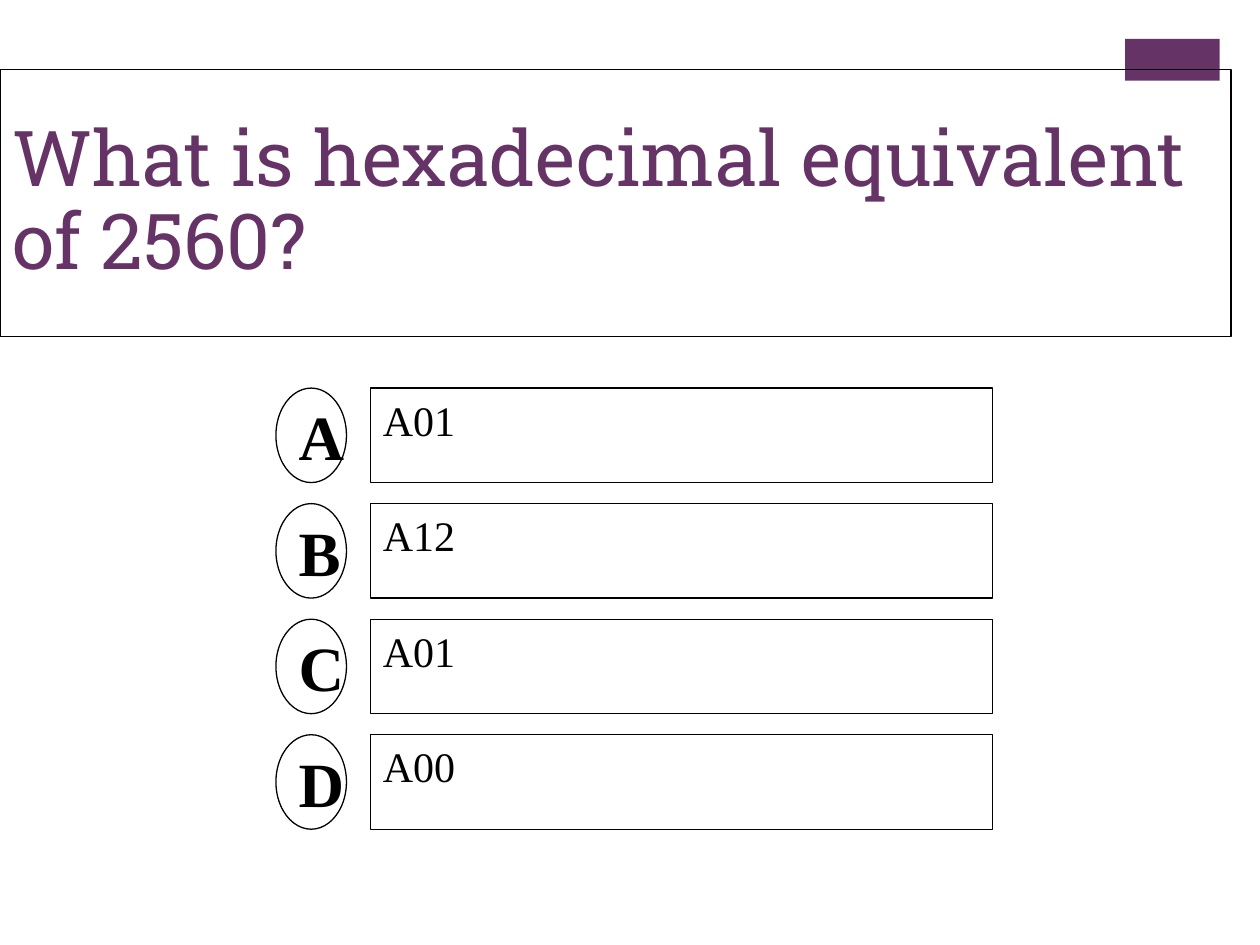
from dataclasses import dataclass

from pptx import Presentation
from pptx.dml.color import RGBColor
from pptx.enum.shapes import MSO_SHAPE
from pptx.enum.text import MSO_ANCHOR, MSO_AUTO_SIZE, PP_ALIGN
from pptx.util import Inches, Pt

RECT, OVAL = MSO_SHAPE.RECTANGLE, MSO_SHAPE.OVAL
TOP, MIDDLE = MSO_ANCHOR.TOP, MSO_ANCHOR.MIDDLE
LEFT, NO_FIT = PP_ALIGN.LEFT, MSO_AUTO_SIZE.NONE
PURPLE, BLACK, WHITE = "663366", "000000", "FFFFFF"
SERIF, SLAB = "Times New Roman", "Roboto Slab"
TITLE_ONLY = 5

LETTER_X, LETTER_W = 2.19, 0.56
ANSWER_X, ANSWER_W = 2.94, 4.94
FIRST_ROW, ROW_PITCH, ROW_H = 3.08, 0.917, 0.75


@dataclass
class Option:
    letter: str
    answer: str


OPTIONS = [Option("A", "A01"), Option("B", "A12"),
           Option("C", "A01"), Option("D", "A00")]


def color(value: str) -> RGBColor:
    return RGBColor.from_string(value)


def outline(shape) -> None:
    shape.line.color.rgb = color(BLACK)
    shape.line.width = Pt(0.75)


def write(shape, text: str, font: str, size: int, ink: str, bold: bool,
          anchor, wrap: bool) -> None:
    tf = shape.text_frame
    tf.text = text
    tf.auto_size = NO_FIT
    tf.word_wrap = wrap
    tf.vertical_anchor = anchor
    p = tf.paragraphs[0]
    p.alignment = LEFT
    r = p.runs[0]
    r.font.name, r.font.size, r.font.bold = font, Pt(size), bold
    r.font.color.rgb = color(ink)


def add_box(slide, kind, x: float, y: float, w: float, h: float,
            fill: str | None = None):
    shape = slide.shapes.add_shape(kind, Inches(x), Inches(y),
                                   Inches(w), Inches(h))
    shape.shadow.inherit = False
    if fill:
        shape.fill.solid()
        shape.fill.fore_color.rgb = color(fill)
    else:
        shape.fill.background()
    return shape


def add_corner_bar(slide) -> None:
    bar = add_box(slide, RECT, 8.93, 0.31, 0.75, 0.33, PURPLE)
    bar.line.fill.background()
    slide.shapes.title.element.addprevious(bar.element)


def add_question(slide, text: str) -> None:
    title = slide.shapes.title
    title.left, title.top = Inches(0), Inches(0.55)
    title.width, title.height = Inches(9.77), Inches(2.12)
    outline(title)
    write(title, text, SLAB, 44, PURPLE, False, MIDDLE, True)
    title.text_frame.paragraphs[0].line_spacing = 0.9


def add_option(slide, row: int, option: Option) -> None:
    y = FIRST_ROW + row * ROW_PITCH
    letter = add_box(slide, OVAL, LETTER_X, y, LETTER_W, ROW_H)
    outline(letter)
    write(letter, option.letter, SERIF, 36, BLACK, True, MIDDLE, False)
    answer = add_box(slide, RECT, ANSWER_X, y, ANSWER_W, ROW_H, WHITE)
    outline(answer)
    write(answer, option.answer, SERIF, 24, BLACK, False, TOP, False)


def main() -> None:
    prs = Presentation()
    prs.slide_width, prs.slide_height = Inches(10), Inches(7.5)
    s = prs.slides.add_slide(prs.slide_layouts[TITLE_ONLY])
    add_corner_bar(s)
    add_question(s, "What is hexadecimal equivalent of 2560?")
    for row, option in enumerate(OPTIONS):
        add_option(s, row, option)
    prs.save("out.pptx")


if __name__ == "__main__":
    main()
